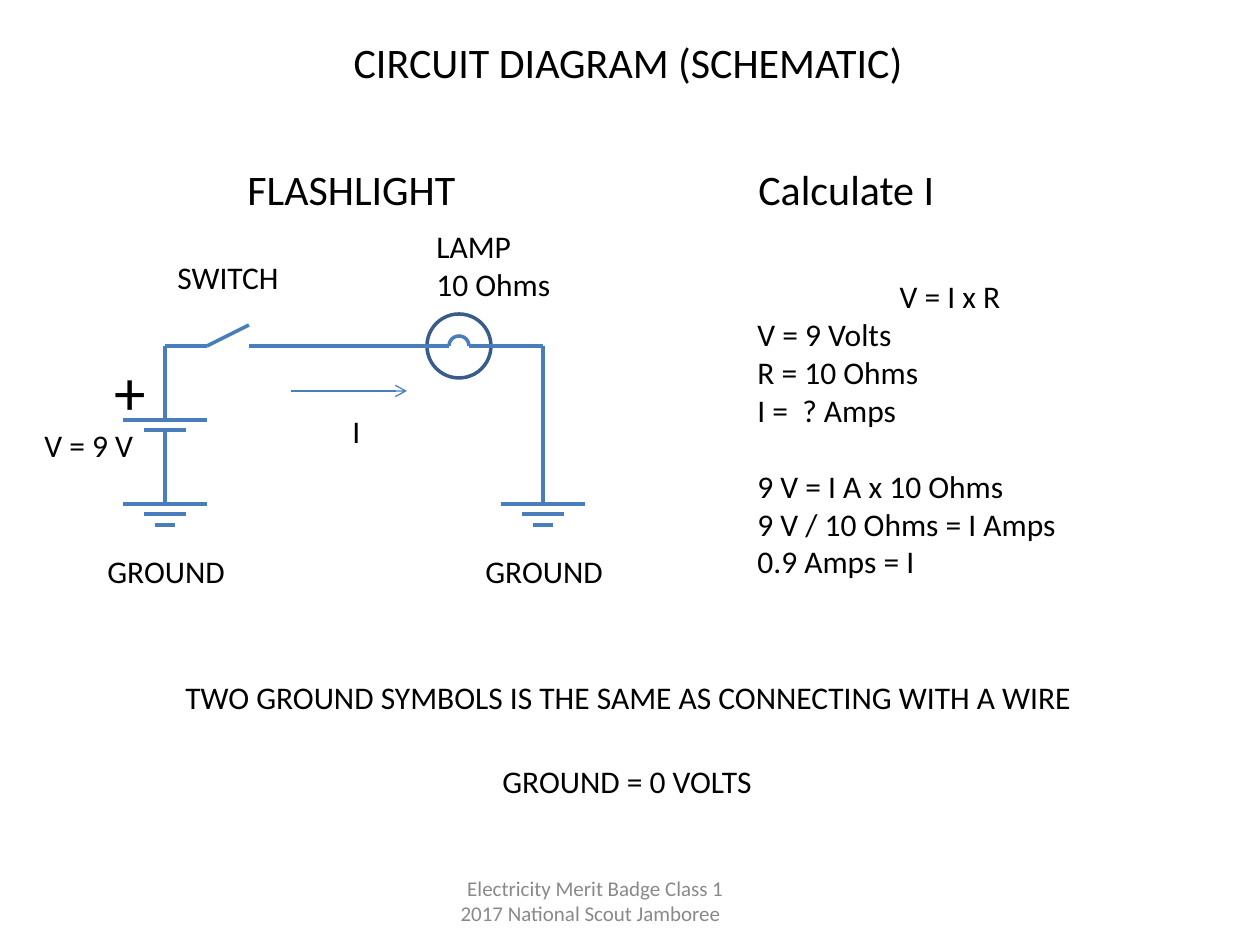
from lxml.etree import SubElement
from pptx import Presentation
from pptx.dml.color import RGBColor
from pptx.enum.shapes import MSO_CONNECTOR, MSO_SHAPE
from pptx.enum.text import MSO_ANCHOR as ANCHOR, MSO_AUTO_SIZE as AUTO_SIZE
from pptx.enum.text import PP_ALIGN as ALIGN
from pptx.oxml.ns import qn
from pptx.util import Pt

PX = 914400 // 126  # EMU in one px
BLACK = RGBColor(0x00, 0x00, 0x00)
GRAY = RGBColor(0x89, 0x89, 0x89)
WIRE = RGBColor(0x4A, 0x7E, 0xBB)
RIM = RGBColor(0x38, 0x5D, 0x8A)
FONT = "Calibri"

# Main positions of the circuit
LEFT_X, RIGHT_X, LAMP_X = 165, 543, 459
TOP_Y, BATTERY_Y, GROUND_Y = 346, 420, 504


def px(*values):
    return [v * PX for v in values]


def place(sp, box):
    sp.left, sp.top, sp.width, sp.height = px(*box)


def write(sp, lines, size=18, color=BLACK, align=ALIGN.LEFT, wrap=False,
          anchor=ANCHOR.TOP):
    tf = sp.text_frame
    tf.word_wrap = wrap
    # Unwrapped labels fit their box to the text
    tf.auto_size = AUTO_SIZE.NONE if wrap else AUTO_SIZE.SHAPE_TO_FIT_TEXT
    tf.vertical_anchor = anchor
    tf.text = "\n".join(lines)
    for p in tf.paragraphs:
        p.alignment = align
        p.font.name = FONT
        p.font.size = Pt(size)
        p.font.color.rgb = color
    return tf


def add_text(s, box, *lines, **style):
    return write(s.shapes.add_textbox(*px(*box)), lines, **style)


def add_line(s, x1, y1, x2, y2, width=2, arrow=False):
    line = s.shapes.add_connector(MSO_CONNECTOR.STRAIGHT, *px(x1, y1, x2, y2))
    line.line.color.rgb = WIRE
    line.line.width = Pt(width)
    sp_pr = line._element.spPr
    if arrow:
        SubElement(sp_pr.find(qn("a:ln")), qn("a:tailEnd"), type="arrow")
    SubElement(sp_pr, qn("a:effectLst"))


def add_bars(s, x, y, half_widths):
    """Centred horizontal bars, one below the other."""
    for i, half in enumerate(half_widths):
        bar_y = y + round(10.5 * i)
        add_line(s, x - half, bar_y, x + half, bar_y)


def add_outline(s, kind, x, y, radius, color):
    sp = s.shapes.add_shape(
        kind, *px(x - radius, y - radius, 2 * radius, 2 * radius))
    sp.shadow.inherit = False
    sp.fill.background()
    sp.line.color.rgb = color
    sp.line.width = Pt(2)
    return sp


def add_circuit(s):
    # Battery and left branch
    add_bars(s, LEFT_X, BATTERY_Y, (42, 21))
    add_line(s, LEFT_X, BATTERY_Y, LEFT_X, TOP_Y)
    add_line(s, LEFT_X, GROUND_Y, LEFT_X, BATTERY_Y + 11)

    # Switch
    add_line(s, LEFT_X, TOP_Y, 207, TOP_Y)
    add_line(s, 207, TOP_Y, 249, TOP_Y - 21)

    # Lamp with its filament
    add_outline(s, MSO_SHAPE.OVAL, LAMP_X, TOP_Y, 32, RIM)
    filament = add_outline(s, MSO_SHAPE.ARC, LAMP_X, TOP_Y, 10, WIRE)
    filament.adjustments[0] = 108  # starts at 180 degrees

    # Wires to the lamp and down the right branch
    add_line(s, 249, TOP_Y, LAMP_X - 10, TOP_Y)
    add_line(s, LAMP_X + 10, TOP_Y, RIGHT_X, TOP_Y)
    add_line(s, RIGHT_X, TOP_Y, RIGHT_X, GROUND_Y)

    # Grounds
    for x in (LEFT_X, RIGHT_X):
        add_bars(s, x, GROUND_Y, (42, 21, 10))
        add_text(s, (x - 70, 546, 144, 50), "GROUND")

    # Current
    add_line(s, 291, 391, 407, 391, width=0.75, arrow=True)


def add_labels(s):
    add_text(s, (102, 346, 53, 88), "+", size=36, wrap=True)
    add_text(s, (165, 252, 128, 50), "SWITCH")
    add_text(s, (424, 221, 140, 88), "LAMP", "10 Ohms")
    add_text(s, (32, 420, 116, 50), "V = 9 V")
    add_text(s, (340, 406, 34, 50), "I")
    add_text(s, (235, 157, 234, 63), "FLASHLIGHT", size=24)
    add_text(s, (746, 157, 204, 63), "Calculate I", size=24)
    add_text(s, (173, 672, 914, 50),
             "TWO GROUND SYMBOLS IS THE SAME AS CONNECTING WITH A WIRE")
    add_text(s, (490, 756, 279, 50), "GROUND = 0 VOLTS")


def add_calculation(s):
    tf = add_text(s, (745, 271, 410, 315),
                  "V = I x R", "V = 9 Volts", "R = 10 Ohms", "I =  ? Amps",
                  "9 V = I A x 10 Ohms", "9 V / 10 Ohms = I Amps",
                  "0.9 Amps = I", wrap=True)
    tf.paragraphs[0].alignment = ALIGN.CENTER
    tf.paragraphs[4].space_before = Pt(22)


def main():
    prs = Presentation()
    prs.slide_width, prs.slide_height = px(1260, 945)
    s = prs.slides.add_slide(prs.slide_layouts[5])

    # Title
    title = s.shapes.title
    place(title, (341, 30, 578, 63))
    write(title, ["CIRCUIT DIAGRAM (SCHEMATIC)"], size=24)

    add_circuit(s)
    add_labels(s)
    add_calculation(s)

    # Footer
    add_text(s, (399, 876, 388, 50), " Electricity Merit Badge Class 1",
             "2017 National Scout Jamboree ", size=12, color=GRAY,
             align=ALIGN.CENTER, wrap=True, anchor=ANCHOR.MIDDLE)
    prs.save("out.pptx")


if __name__ == "__main__":
    main()
